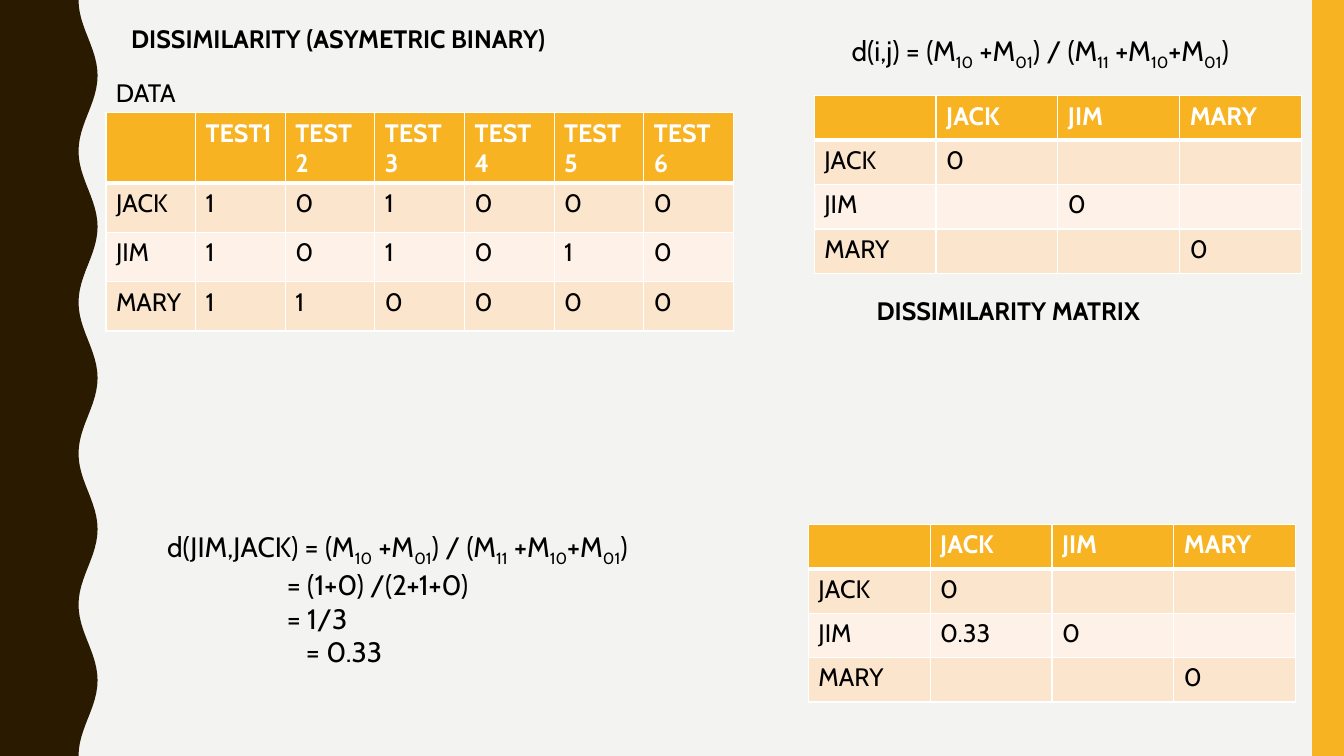
import math
from dataclasses import dataclass

import pptx
import pptx.dml.color
import pptx.enum.shapes
import pptx.enum.text
import pptx.oxml
import pptx.oxml.ns
import pptx.util

Cm = pptx.util.Cm
Pt = pptx.util.Pt
RGBColor = pptx.dml.color.RGBColor

BACKGROUND = RGBColor(0xF3, 0xF3, 0xF2)
BROWN = RGBColor(0x2A, 0x1A, 0x00)
AMBER = RGBColor(0xF8, 0xB3, 0x23)
PEACH = RGBColor(0xFC, 0xE5, 0xCD)
CREAM = RGBColor(0xFE, 0xF2, 0xE8)
BLACK = RGBColor(0, 0, 0)
WHITE = RGBColor(0xFF, 0xFF, 0xFF)

FONT_NAME = "Cabin"
SLIDE_WIDTH, SLIDE_HEIGHT = 33.87, 19.05
WAVE_CENTER, WAVE_DEPTH, WAVE_PERIOD, WAVE_STEPS = 2.22, 0.24, 3.81, 120
RATIO = "(M_10_ +M_01_) / (M_11_ +M_10_+M_01_)"
PEOPLE = ["JACK", "JIM", "MARY"]


@dataclass
class Line:
    text: str
    indent: float = 0


@dataclass
class Label:
    left: float
    top: float
    width: float
    height: float
    lines: list[Line]
    size: int = 18
    bold: bool = False


@dataclass
class Grid:
    left: float
    top: float
    column_width: float
    row_heights: list[float]
    rows: list[list[str]]


TITLE = Label(3.05, 0.46, 13.64, 1.02, [Line("DISSIMILARITY (ASYMETRIC BINARY)")], bold=True)
LABELS = [
    Label(2.67, 1.83, 2.57, 1.02, [Line("DATA")]),
    Label(21.21, 0.71, 11.58, 1.12, [Line("d(i,j) = " + RATIO)], size=20),
    Label(21.84, 7.32, 9.35, 1.02, [Line("DISSIMILARITY MATRIX")], bold=True),
    Label(3.96, 13.21, 13.97, 3.68, [
        Line("d(JIM,JACK) = " + RATIO),
        Line("= (1+0) /(2+1+0)", 3.02),
        Line("= 1/3", 3.02),
        Line("= 0.33", 3.5),
    ], size=20),
]


def matrix(left: float, top: float, jim_to_jack: str) -> Grid:
    rows = [["", *PEOPLE], ["JACK", "0", "", ""], ["JIM", jim_to_jack, "0", ""], ["MARY", "", "", "0"]]
    return Grid(left, top, 3.07, [1.12] * 4, rows)


GRIDS = [
    Grid(2.67, 2.84, 2.26, [1.78] + [1.24] * 3, [
        ["", *(f"TEST{number}" for number in range(1, 7))],
        *([name, *values] for name, values in zip(PEOPLE, ["101000", "101010", "110000"])),
    ]),
    matrix(20.52, 2.41, ""),
    matrix(20.37, 13.21, "0.33"),
]


def add_text(paragraph, text: str, size: int, color: RGBColor, bold: bool) -> None:
    font_values = {"name": FONT_NAME, "size": Pt(size), "bold": bold}
    for position, part in enumerate(text.split("_")):
        if not part:
            continue
        run = paragraph.add_run()
        run.text = part
        for name, value in font_values.items():
            setattr(run.font, name, value)
        run.font.color.rgb = color
        if position % 2:
            run.font._element.set("baseline", "-25000")


def place_label(shape, label: Label) -> None:
    for name in ("left", "top", "width", "height"):
        setattr(shape, name, Cm(getattr(label, name)))
    frame_values = {
        "word_wrap": True,
        "auto_size": pptx.enum.text.MSO_AUTO_SIZE.SHAPE_TO_FIT_TEXT,
        "vertical_anchor": pptx.enum.text.MSO_ANCHOR.TOP,
    }
    for name, value in frame_values.items():
        setattr(shape.text_frame, name, value)
    for position, line in enumerate(label.lines):
        paragraph = shape.text_frame.add_paragraph() if position else shape.text_frame.paragraphs[0]
        paragraph.alignment = pptx.enum.text.PP_ALIGN.LEFT
        if line.indent:
            paragraph._p.get_or_add_pPr().set("marL", str(Cm(line.indent)))
        add_text(paragraph, line.text, label.size, BLACK, label.bold)


def set_borders(cell, widths: dict[str, int]) -> None:
    properties = cell._tc.get_or_add_tcPr()
    for side, width in widths.items():
        properties.append(pptx.oxml.parse_xml(
            f'<a:ln{side} {pptx.oxml.ns.nsdecls("a")} w="{Pt(width)}">'
            f'<a:solidFill><a:srgbClr val="{WHITE}"/></a:solidFill></a:ln{side}>'
        ))


def add_grid(slide, grid: Grid) -> None:
    column_count = len(grid.rows[0])
    table = slide.shapes.add_table(
        len(grid.rows), column_count, Cm(grid.left), Cm(grid.top),
        Cm(grid.column_width * column_count), Cm(sum(grid.row_heights)),
    ).table
    for column in table.columns:
        column.width = Cm(grid.column_width)
    for row_index, values in enumerate(grid.rows):
        table.rows[row_index].height = Cm(grid.row_heights[row_index])
        header = row_index == 0
        color = AMBER if header else PEACH if row_index % 2 else CREAM
        widths = {"L": 1, "R": 1, "T": 3 if row_index == 1 else 1, "B": 3 if header else 1}
        for column_index, value in enumerate(values):
            cell = table.cell(row_index, column_index)
            set_borders(cell, widths)
            cell.fill.solid()
            cell.fill.fore_color.rgb = color
            add_text(cell.text_frame.paragraphs[0], value, 18, WHITE if header else BLACK, header)


def paint(shape, color: RGBColor) -> None:
    shape.shadow.inherit = False
    shape.fill.solid()
    shape.fill.fore_color.rgb = color
    shape.line.fill.background()


def add_decoration(slide) -> None:
    heights = [SLIDE_HEIGHT * step / WAVE_STEPS for step in range(WAVE_STEPS + 1)]
    wave = [
        (Cm(WAVE_CENTER - WAVE_DEPTH * math.cos(2 * math.pi * height / WAVE_PERIOD)), Cm(height))
        for height in heights
    ]
    builder = slide.shapes.build_freeform(0, 0)
    builder.add_line_segments([*wave, (0, Cm(SLIDE_HEIGHT))], close=True)
    paint(builder.convert_to_shape(), BROWN)
    bar = slide.shapes.add_shape(
        pptx.enum.shapes.MSO_SHAPE.RECTANGLE, Cm(33.07), 0, Cm(0.8), Cm(SLIDE_HEIGHT)
    )
    paint(bar, AMBER)


def main() -> None:
    presentation = pptx.Presentation()
    presentation.slide_width = Cm(SLIDE_WIDTH)
    presentation.slide_height = Cm(SLIDE_HEIGHT)
    slide = presentation.slides.add_slide(presentation.slide_layouts[5])
    slide.background.fill.solid()
    slide.background.fill.fore_color.rgb = BACKGROUND
    add_decoration(slide)
    place_label(slide.shapes.title, TITLE)
    for grid in GRIDS:
        add_grid(slide, grid)
    for label in LABELS:
        place_label(slide.shapes.add_textbox(0, 0, 0, 0), label)
    presentation.save("out.pptx")


if __name__ == "__main__":
    main()
